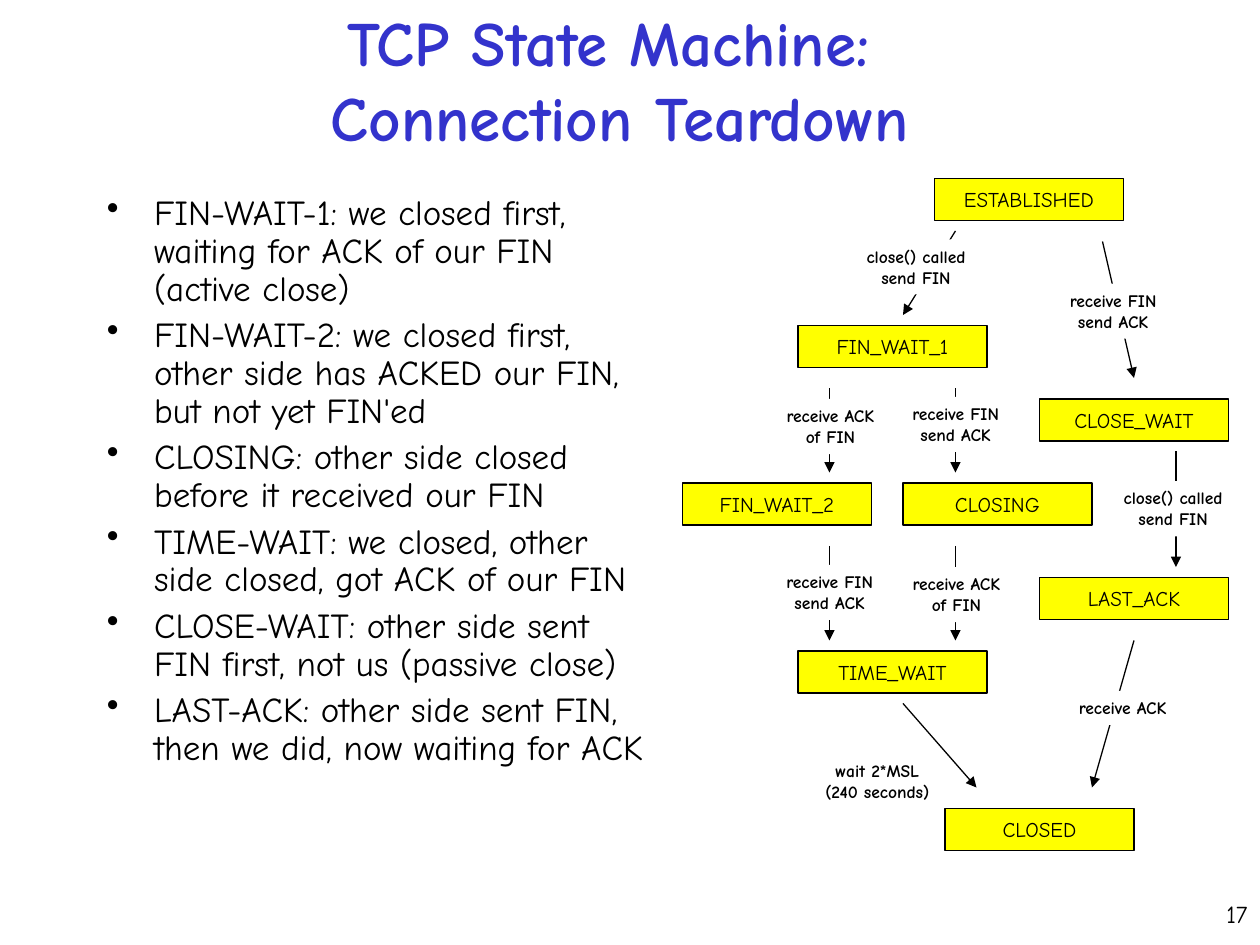
from lxml import etree
from pptx import Presentation
from pptx.dml.color import RGBColor
from pptx.enum import shapes, text
from pptx.oxml import ns
from pptx.util import Pt

FONT = "Comic Neue"
STATE_WIDTH, STATE_HEIGHT = 108, 24
LINE_HEIGHT = 12

STATES = [
    ("ESTABLISHED", 534, 102),
    ("FIN_WAIT_1", 456, 186),
    ("FIN_WAIT_2", 390, 276),
    ("CLOSING", 516, 276),
    ("TIME_WAIT", 456, 372),
    ("CLOSE_WAIT", 594, 228),
    ("LAST_ACK", 594, 330),
    ("CLOSED", 540, 462),
]

TRANSITIONS = [
    ((546, 132), (516, 180)),
    ((630, 138), (648, 216)),
    ((474, 222), (474, 270)),
    ((546, 222), (546, 270)),
    ((474, 312), (474, 366)),
    ((546, 312), (546, 366)),
    ((672, 258), (672, 324)),
    ((516, 402), (558, 450)),
    ((648, 366), (624, 450)),
]

EVENTS = [
    ("close() called\nsend FIN", 523.4, 136.8, 71),
    ("receive FIN\nsend ACK", 636.1, 162, 64),
    ("receive ACK\nof FIN", 474.5, 228, 65),
    ("receive FIN\nsend ACK", 546.1, 226.8, 64),
    ("receive FIN\nsend ACK", 474.1, 322.8, 64),
    ("receive ACK\nof FIN", 546.5, 324, 65),
    ("close() called\nsend FIN", 670.3, 275, 71),
    ("wait 2*MSL\n(240 seconds)", 501.3, 430.8, 74),
    ("receive ACK", 641.5, 394.8, 65),
]

MEANINGS = [
    "FIN-WAIT-1: we closed first, waiting for ACK of our FIN (active close)",
    "FIN-WAIT-2: we closed first, other side has ACKED our FIN, but not yet FIN'ed",
    "CLOSING: other side closed before it received our FIN",
    "TIME-WAIT: we closed, other side closed, got ACK of our FIN",
    "CLOSE-WAIT: other side sent FIN first, not us (passive close)",
    "LAST-ACK: other side sent FIN, then we did, now waiting for ACK",
]


def rgb(value):
    return RGBColor.from_string(value)


def style(frame, size, align, color="000000", bold=False):
    for paragraph in frame.paragraphs:
        paragraph.alignment = align
        for run in paragraph.runs:
            run.font.name = FONT
            run.font.size = Pt(size)
            run.font.bold = bold
            run.font.color.rgb = rgb(color)


def add_title(slide, wording):
    title = slide.shapes.title
    title.left, title.top, title.width, title.height = Pt(48), Pt(0), Pt(612), Pt(90)
    frame = title.text_frame
    frame.text = wording
    frame.auto_size = text.MSO_AUTO_SIZE.NONE
    frame.vertical_anchor = text.MSO_ANCHOR.MIDDLE
    style(frame, 36, text.PP_ALIGN.CENTER, "3333CC", True)


def add_text(slide, wording, left, top, width, height, size, align, bold=False, wrap=True):
    box = slide.shapes.add_textbox(Pt(left), Pt(top), Pt(width), Pt(height))
    frame = box.text_frame
    frame.word_wrap = wrap
    frame.text = wording
    style(frame, size, align, bold=bold)
    return box


def add_bullets(slide, items):
    box = add_text(slide, "\n".join(items), 54, 108, 324, 372, 20, text.PP_ALIGN.LEFT)
    for index, paragraph in enumerate(box.text_frame.paragraphs):
        properties = paragraph._p.get_or_add_pPr()
        properties.set("marL", str(Pt(27)))
        properties.set("indent", str(Pt(-27)))
        bullet = etree.SubElement(properties, ns.qn("a:buChar"))
        bullet.set("char", "•")
        paragraph.line_spacing = 0.9
        if index:
            paragraph.space_before = Pt(5)


def add_transition(slide, start, end):
    arrow = slide.shapes.add_connector(
        shapes.MSO_CONNECTOR.STRAIGHT, *map(Pt, start), *map(Pt, end)
    )
    arrow.line.color.rgb = rgb("000000")
    arrow.line.width = Pt(0.75)
    head = etree.SubElement(arrow.line._get_or_add_ln(), ns.qn("a:tailEnd"))
    head.set("type", "triangle")
    etree.SubElement(arrow._element.spPr, ns.qn("a:effectLst"))


def add_event(slide, wording, center, top, width):
    height = 7.5 + LINE_HEIGHT * len(wording.split("\n"))
    event = add_text(slide, wording, center - width / 2, top, width, height,
                     10, text.PP_ALIGN.CENTER, bold=True, wrap=False)
    event.fill.solid()
    event.fill.fore_color.rgb = rgb("FFFFFF")


def add_state(slide, name, left, top):
    state = slide.shapes.add_shape(
        shapes.MSO_SHAPE.RECTANGLE, Pt(left), Pt(top), Pt(STATE_WIDTH), Pt(STATE_HEIGHT)
    )
    state.shadow.inherit = False
    state.fill.solid()
    state.fill.fore_color.rgb = rgb("FFFF00")
    state.line.color.rgb = rgb("000000")
    state.line.width = Pt(0.75)
    frame = state.text_frame
    frame.word_wrap = False
    frame.vertical_anchor = text.MSO_ANCHOR.MIDDLE
    frame.text = name
    style(frame, 12, text.PP_ALIGN.CENTER)


def main():
    deck = Presentation()
    deck.slide_width, deck.slide_height = Pt(720), Pt(540)
    slide = deck.slides.add_slide(deck.slide_layouts[5])
    add_title(slide, "TCP State Machine: \vConnection Teardown")
    add_bullets(slide, MEANINGS)
    for transition in TRANSITIONS:
        add_transition(slide, *transition)
    for event in EVENTS:
        add_event(slide, *event)
    for state in STATES:
        add_state(slide, *state)
    add_text(slide, "17", 570, 510, 150, 36, 14, text.PP_ALIGN.RIGHT)
    deck.save("out.pptx")


if __name__ == "__main__":
    main()
